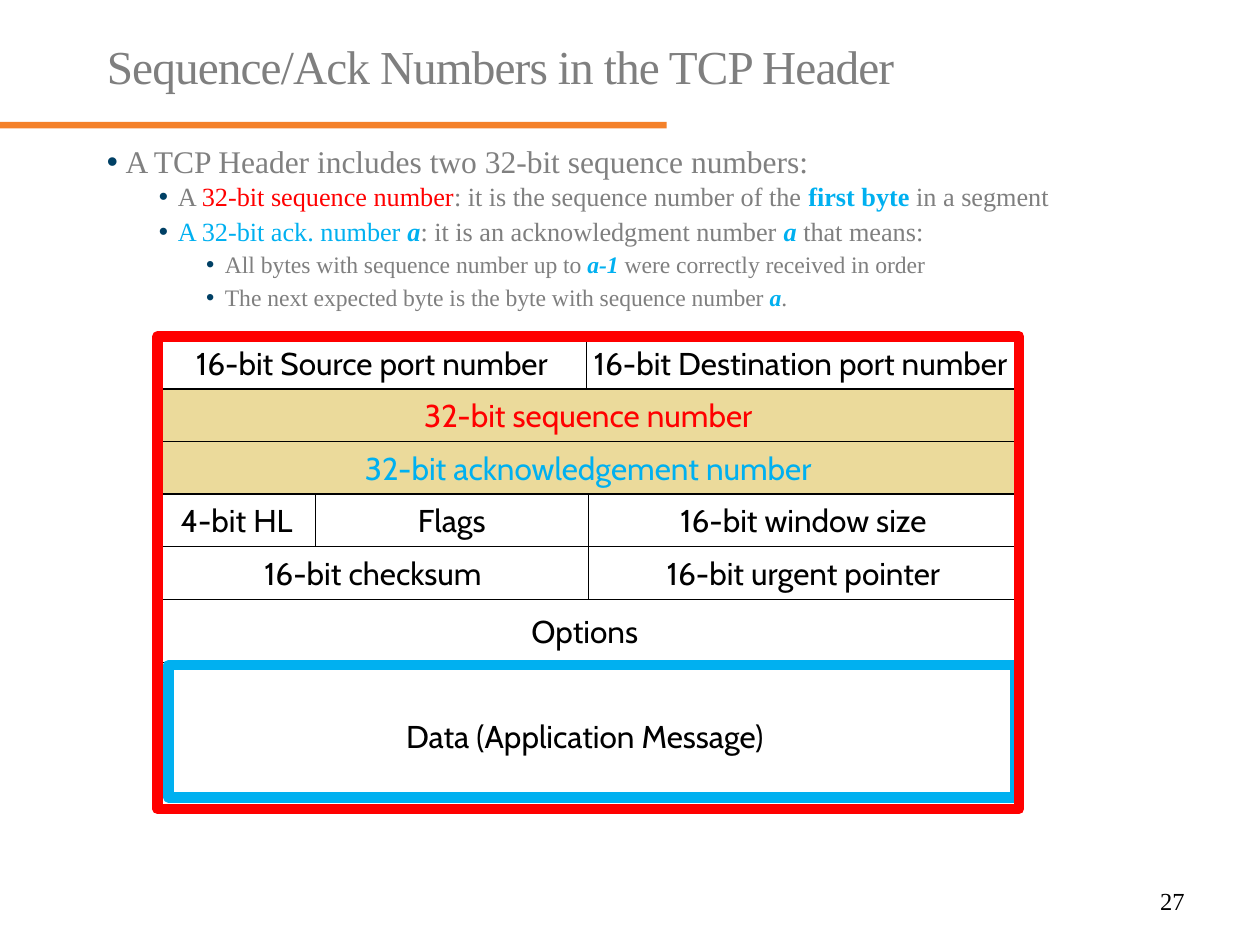
import pptx
import pptx.dml.color
import pptx.enum.shapes
import pptx.enum.text
import pptx.oxml
import pptx.oxml.ns
import pptx.util

Cm = pptx.util.Cm
Pt = pptx.util.Pt
ALIGN = pptx.enum.text.PP_ALIGN
MIDDLE = pptx.enum.text.MSO_ANCHOR.MIDDLE

COLORS = {
    "title": "7F7F7F", "text": "7F7F7F", "lead": "808080", "black": "000000",
    "orange": "F4812A", "bullet": "004065", "red": "FF0000",
    "blue": "00B0F0", "sand": "EBDA9B",
}
SERIF, SANS = "Times New Roman", "Cabin"

# Bullet level: (left indent in cm, text size, space around)
LEVELS = [(0.38, 18, 0), (1.43, 15, 1.9), (2.38, 13.5, 1.9)]

# Each point: (level, [(text, colour, style)]), style b = bold, i = italic
POINTS = [
    (0, [("A TCP Header includes two 32-bit sequence numbers:", "lead", "")]),
    (1, [("A ", "text", ""), ("32-bit sequence number", "red", ""),
         (": it is the sequence number of the ", "text", ""),
         ("first byte ", "blue", "b"), ("in a segment", "text", "")]),
    (1, [("A 32-bit ack. number ", "blue", ""), ("a", "blue", "bi"),
         (": it is an acknowledgment number ", "text", ""),
         ("a", "blue", "bi"), (" that means:", "text", "")]),
    (2, [("All bytes with sequence number up to ", "text", ""),
         ("a-1 ", "blue", "bi"),
         ("were correctly received in order", "text", "")]),
    (2, [("The next expected byte is the byte with sequence number ", "text", ""),
         ("a", "blue", "bi"), (".", "text", "")]),
]

# Header rows in cm: (height, [(width, label, text colour, fill)])
HEADER_LEFT, HEADER_TOP, HEADER_WIDTH = 3.18, 6.78, 17.36
HALF, ROW = HEADER_WIDTH / 2, 1.06
HEADER_ROWS = [
    (ROW, [(8.64, "16-bit Source port number", "black", None),
           (8.64, "16-bit Destination port number", "black", None)]),
    (ROW, [(HEADER_WIDTH, "32-bit sequence number", "red", "sand")]),
    (ROW, [(HEADER_WIDTH, "32-bit acknowledgement number", "blue", "sand")]),
    (ROW, [(3.18, "4-bit HL", "black", None),
           (HALF - 3.18, "Flags", "black", None),
           (HALF, "16-bit window size", "black", None)]),
    (ROW, [(HALF, "16-bit checksum", "black", None),
           (HALF, "16-bit urgent pointer", "black", None)]),
    (1.27, [(HEADER_WIDTH, "Options ", "black", None)]),
    (2.96, [(HEADER_WIDTH, "Data (Application Message) ", "black", None)]),
]


def rgb(name):
    return pptx.dml.color.RGBColor.from_string(COLORS[name])


def set_font(font, name, size, color=None):
    font.name, font.size = name, Pt(size)
    if color:
        font.color.rgb = rgb(color)


def place(shape, left, top, width, height):
    shape.left, shape.top = Cm(left), Cm(top)
    shape.width, shape.height = Cm(width), Cm(height)


def add_box(slide, left, top, width, height, fill=None, line=None, weight=0.75):
    box = slide.shapes.add_shape(
        pptx.enum.shapes.MSO_SHAPE.RECTANGLE,
        Cm(left), Cm(top), Cm(width), Cm(height))
    box.shadow.inherit = False
    if fill:
        box.fill.solid()
        box.fill.fore_color.rgb = rgb(fill)
    else:
        box.fill.background()
    if line:
        box.line.color.rgb = rgb(line)
        box.line.width = Pt(weight)
    else:
        box.line.fill.background()
    return box


def add_field(slide, left, top, width, height, label, color, fill):
    field = add_box(slide, left, top, width, height, fill, "black")
    frame = field.text_frame
    frame.word_wrap = False
    frame.vertical_anchor = MIDDLE
    paragraph = frame.paragraphs[0]
    paragraph.text = label
    paragraph.alignment = ALIGN.CENTER
    set_font(paragraph.font, SANS, 18, color)


def add_title(slide, text):
    title = slide.shapes.title
    place(title, 1.9, 0.81, 22.23, 1.17)
    frame = title.text_frame
    frame.auto_size = pptx.enum.text.MSO_AUTO_SIZE.NONE
    frame.vertical_anchor = MIDDLE
    paragraph = frame.paragraphs[0]
    paragraph.text = text
    paragraph.alignment = ALIGN.LEFT
    paragraph.line_spacing = 0.9
    set_font(paragraph.font, SERIF, 27, "title")
    paragraph.runs[0].font._element.set("spc", "-50")


def add_bullet(paragraph, indent):
    properties = paragraph._p.get_or_add_pPr()
    properties.set("marL", str(Cm(indent)))
    properties.set("indent", str(-Cm(0.38)))
    ns = pptx.oxml.ns.nsdecls("a")
    for xml in (
        f'<a:buClr {ns}><a:srgbClr val="{COLORS["bullet"]}"/></a:buClr>',
        f'<a:buFont {ns} typeface="Arial"/>',
        f'<a:buChar {ns} char="•"/>',
    ):
        properties.append(pptx.oxml.parse_xml(xml))


def add_points(slide, points):
    body = slide.placeholders[1]
    place(body, 1.9, 2.82, 21.59, 12.07)
    frame = body.text_frame
    frame.auto_size = pptx.enum.text.MSO_AUTO_SIZE.NONE
    for index, (level, parts) in enumerate(points):
        paragraph = frame.add_paragraph() if index else frame.paragraphs[0]
        indent, size, gap = LEVELS[level]
        paragraph.level = level
        paragraph.line_spacing = 0.9
        paragraph.space_before = paragraph.space_after = Pt(gap)
        add_bullet(paragraph, indent)
        set_font(paragraph.font, SERIF, size)
        for text, color, style in parts:
            run = paragraph.add_run()
            run.text = text
            run.font.color.rgb = rgb(color)
            run.font.bold = "b" in style
            run.font.italic = "i" in style


def add_header_diagram(slide):
    top = HEADER_TOP
    for height, fields in HEADER_ROWS:
        left = HEADER_LEFT
        for width, label, color, fill in fields:
            add_field(slide, left, top, width, height, label, color, fill)
            left += width
        top += height
    # Frames around the data and the whole segment
    add_box(slide, 3.4, 13.41, 17.07, 2.67, line="blue", weight=6)
    add_box(slide, HEADER_LEFT, HEADER_TOP, HEADER_WIDTH, top - HEADER_TOP,
            line="red", weight=6)


def add_page_number(slide, number):
    box = slide.shapes.add_textbox(Cm(18.21), Cm(17.65), Cm(5.92), Cm(1.02))
    frame = box.text_frame
    frame.word_wrap = True
    frame.vertical_anchor = MIDDLE
    paragraph = frame.paragraphs[0]
    paragraph.text = number
    paragraph.alignment = ALIGN.RIGHT
    set_font(paragraph.font, SERIF, 14, "black")


def main():
    deck = pptx.Presentation()
    deck.slide_width, deck.slide_height = Cm(25.4), Cm(19.05)
    slide = deck.slides.add_slide(deck.slide_layouts[1])
    add_box(slide, 0, 2.46, 13.44, 0.13, fill="orange")
    add_title(slide, "Sequence/Ack Numbers in the TCP Header")
    add_points(slide, POINTS)
    add_header_diagram(slide)
    add_page_number(slide, "27")
    deck.save("out.pptx")


if __name__ == "__main__":
    main()
